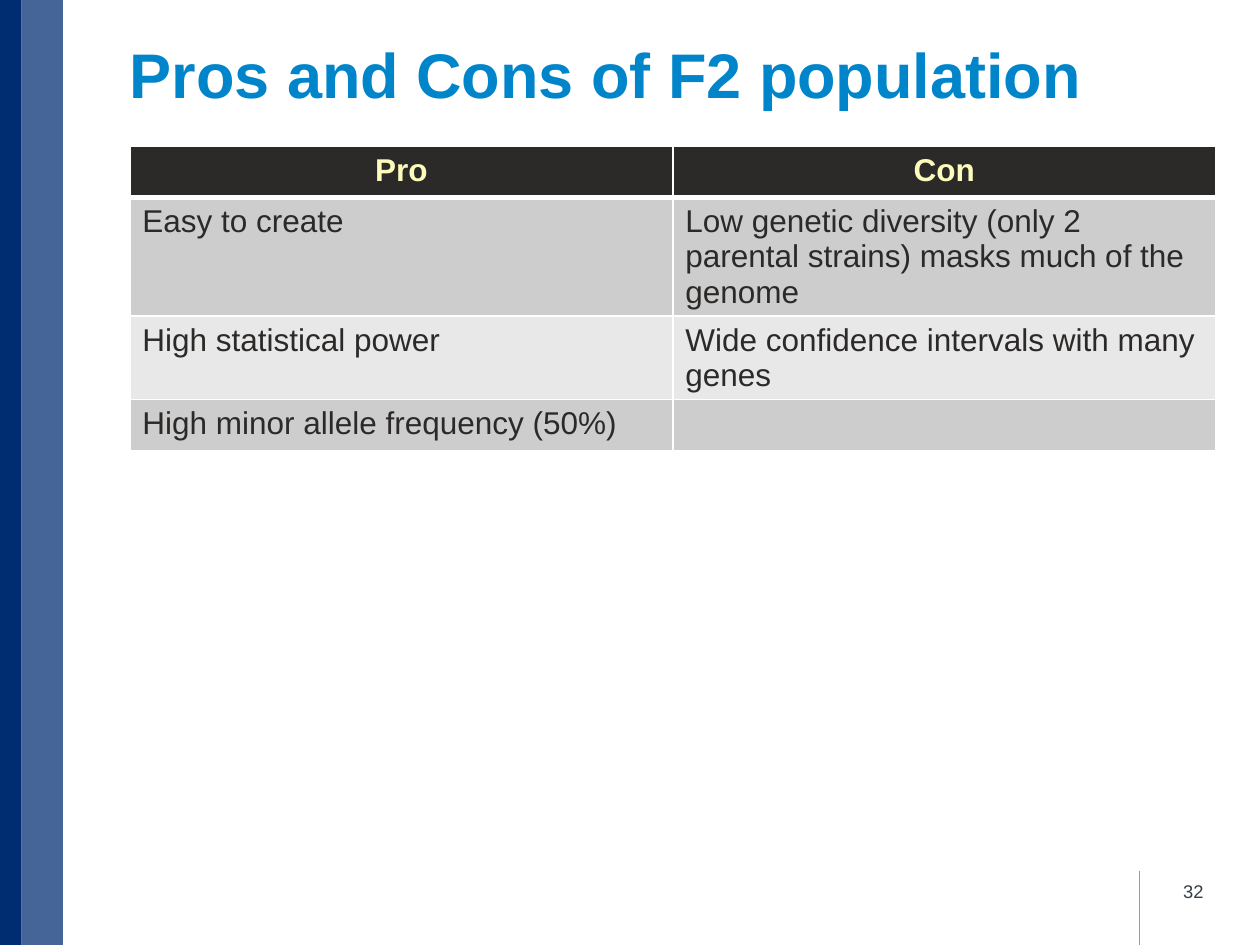
from lxml import etree
from pptx import Presentation
from pptx.dml.color import RGBColor
from pptx.enum import shapes, text
from pptx.oxml import ns
from pptx.util import Inches, Pt

NAVY = RGBColor(0x00, 0x2D, 0x72)
BLUE = RGBColor(0x00, 0x85, 0xCA)
SLATE = RGBColor(0x33, 0x3F, 0x48)
INK = RGBColor(0x2C, 0x2A, 0x29)
CREAM = RGBColor(0xFC, 0xFB, 0xBC)
WHITE = RGBColor(0xFF, 0xFF, 0xFF)
RULE = RGBColor(0x99, 0x99, 0x99)
DARK = RGBColor(0xCD, 0xCD, 0xCD)
LIGHT = RGBColor(0xE8, 0xE8, 0xE8)

LEFT, WIDE = Inches(1.03), Inches(8.62)
ROWS = [
    ("Pro", "Con"),
    ("Easy to create",
     "Low genetic diversity (only 2 parental strains) masks much of the genome"),
    ("High statistical power", "Wide confidence intervals with many genes"),
    ("High minor allele frequency (50%)", ""),
]


def write(frame, words, size=18, color=INK, bold=False, align=text.PP_ALIGN.LEFT):
    para = frame.paragraphs[0]
    para.text = words
    para.alignment = align
    font = para.font
    font.name, font.size, font.bold = "Arial", Pt(size), bold
    font.color.rgb = color


def edge(cell, side, width):
    """Draw one white border; call before the cell's fill is set."""
    props = cell._tc.get_or_add_tcPr()
    line = etree.SubElement(props, ns.qn("a:ln" + side), w=str(Pt(width)))
    fill = etree.SubElement(line, ns.qn("a:solidFill"))
    etree.SubElement(fill, ns.qn("a:srgbClr"), val=str(WHITE))


deck = Presentation()
deck.slide_width, deck.slide_height = Inches(10), Inches(7.5)
slide = deck.slides.add_slide(deck.slide_layouts[5])
slide.background.fill.solid()
slide.background.fill.fore_color.rgb = WHITE

# Side bands
for x, width, alpha in [(0, 0.17, 100), (0.17, 0.33, 73)]:
    band = slide.shapes.add_shape(
        shapes.MSO_SHAPE.RECTANGLE, Inches(x), 0, Inches(width), deck.slide_height)
    band.shadow.inherit = False
    band.line.fill.background()
    band.fill.solid()
    band.fill.fore_color.rgb = NAVY
    if alpha < 100:
        tint = band._element.spPr.find(".//" + ns.qn("a:srgbClr"))
        etree.SubElement(tint, ns.qn("a:alpha"), val=str(alpha * 1000))

# Title
title = slide.shapes.title
title.left, title.top, title.width, title.height = LEFT, Inches(0.3), WIDE, Inches(0.63)
frame = title.text_frame
frame.auto_size = text.MSO_AUTO_SIZE.NONE
frame.vertical_anchor = text.MSO_ANCHOR.BOTTOM
frame.margin_left = 0
write(frame, "Pros and Cons of F2 population", size=36, color=BLUE, bold=True)

# Table
table = slide.shapes.add_table(
    len(ROWS), 2, LEFT, Inches(1.16), WIDE, Inches(0.41) * len(ROWS)).table
for r, row in enumerate(ROWS):
    head = r == 0
    for c, words in enumerate(row):
        cell = table.cell(r, c)
        for side in "LRTB":
            thick = (head and side == "B") or (r == 1 and side == "T")
            edge(cell, side, 3 if thick else 1)
        cell.fill.solid()
        cell.fill.fore_color.rgb = INK if head else DARK if r % 2 else LIGHT
        write(cell.text_frame, words, bold=head, color=CREAM if head else INK,
              align=text.PP_ALIGN.CENTER if head else text.PP_ALIGN.LEFT)

# Page number and its rule
x = Inches(9.04)
rule = slide.shapes.add_connector(
    shapes.MSO_CONNECTOR.STRAIGHT, x, Inches(6.91), x, deck.slide_height)
rule.line.color.rgb = RULE
rule.line.width = Pt(0.25)
etree.SubElement(rule._element.spPr, ns.qn("a:effectLst"))

page = slide.shapes.add_textbox(Inches(7.32), Inches(6.87), Inches(2.33), Inches(0.4))
page.text_frame.word_wrap = True
page.text_frame.vertical_anchor = text.MSO_ANCHOR.MIDDLE
write(page.text_frame, "32", size=10.5, color=SLATE, align=text.PP_ALIGN.RIGHT)

deck.save("out.pptx")
